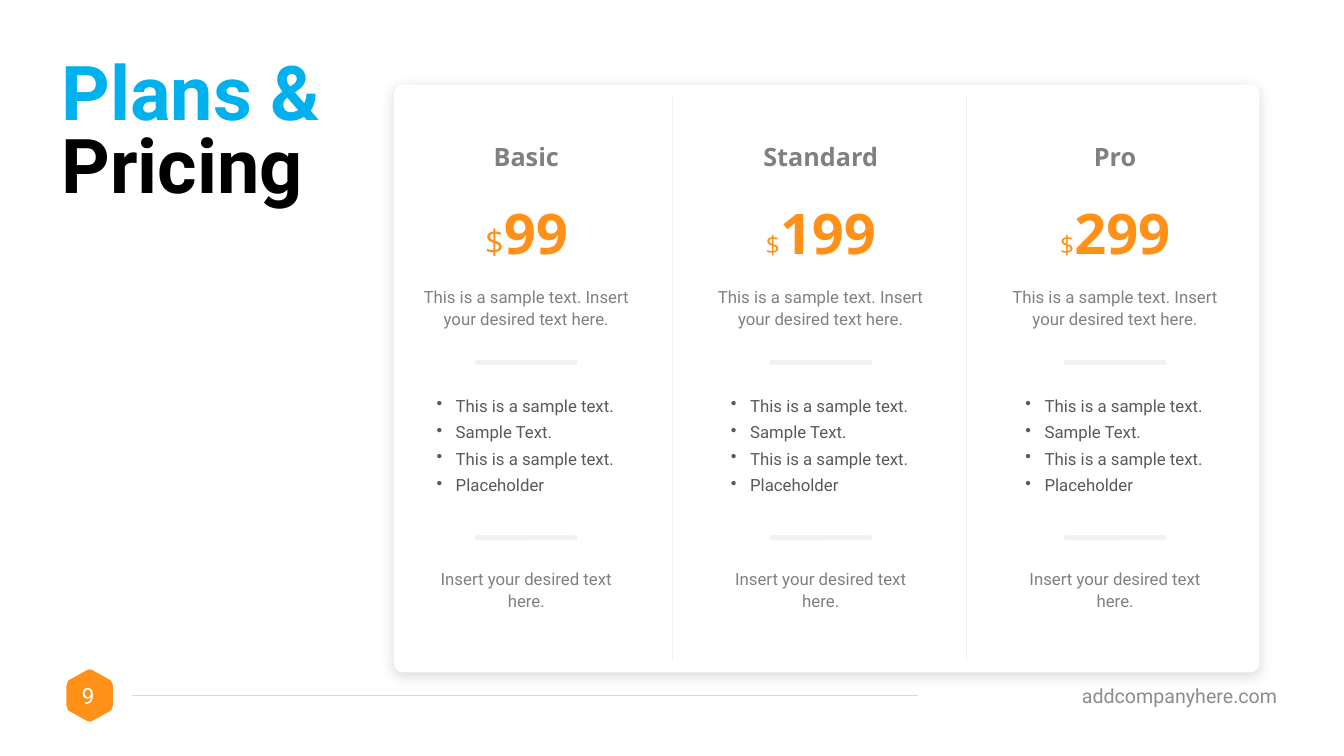
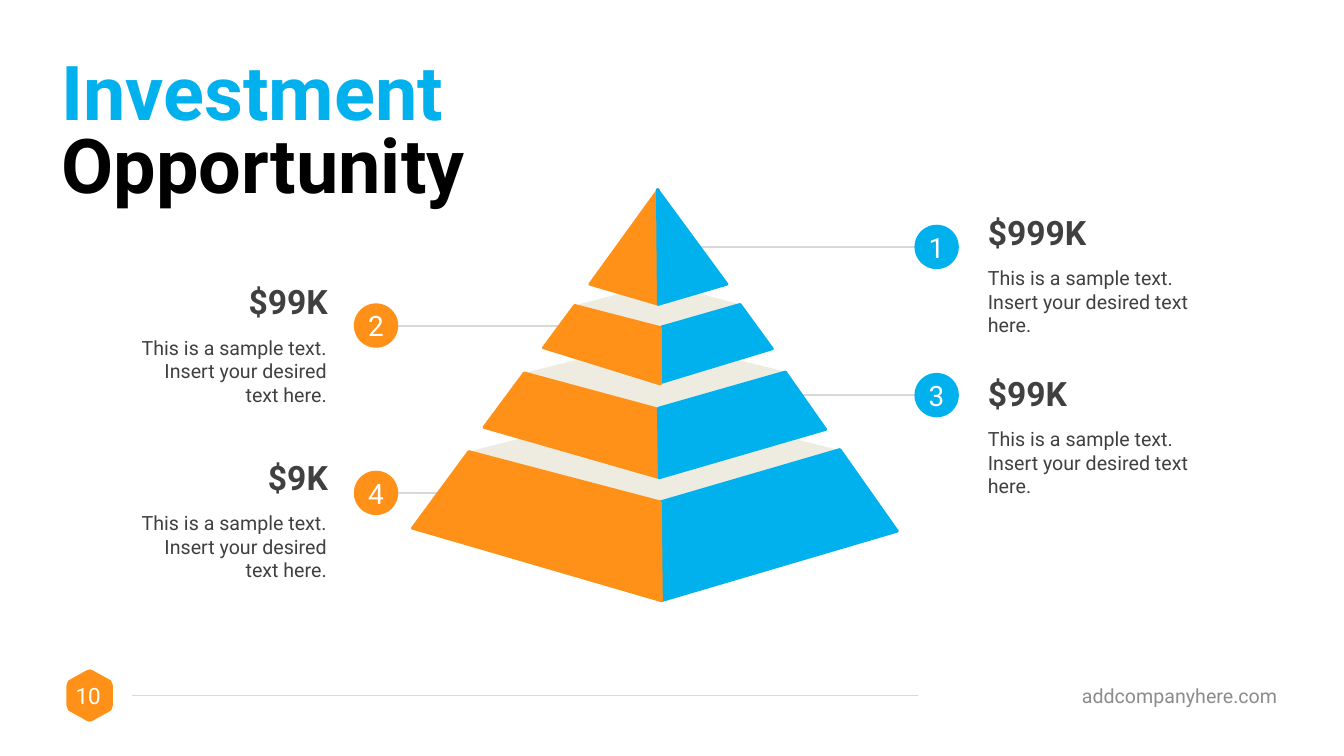
from lxml.etree import SubElement
from pptx import Presentation
from pptx.dml.color import RGBColor
from pptx.enum.shapes import MSO_CONNECTOR as Connector, MSO_SHAPE as Preset
from pptx.enum.text import MSO_ANCHOR as Anchor, MSO_AUTO_SIZE as AutoSize, PP_ALIGN as Align
from pptx.oxml.ns import qn
from pptx.util import Inches, Pt

COLORS = {
    "orange": "FF9119",
    "blue": "01B1ED",
    "black": "000000",
    "white": "FFFFFF",
    "cream": "EEECE1",
    "rule": "D9D9D9",
    "pale": "F2F2F2",
    "footer": "8C8C8C",
    "muted": "808080",
    "list": "595959",
    "dark": "404040",
}
BODY_FONT = "Roboto"
PLAN_FONT = "Open Sans"

PLANS = [("Basic", "99", 24), ("Standard", "199", 18), ("Pro", "299", 18)]
FEATURES = ["This is a sample text.", "Sample Text.", "This is a sample text.", "Placeholder"]
SAMPLE = "This is a sample text. Insert your desired text here."

TIERS = [
    [
        ("cream", [(4.65, 4.48), (6.51, 4.01), (8.34, 4.47), (6.55, 4.99)]),
        ("blue", [(6.55, 4.98), (8.33, 4.46), (8.9, 5.27), (6.56, 5.96)]),
        ("orange", [(4.09, 5.24), (4.65, 4.48), (6.55, 4.98), (6.56, 5.96)]),
    ],
    [
        ("cream", [(5.2, 3.7), (6.51, 3.37), (7.8, 3.69), (6.53, 4.06)]),
        ("orange", [(4.8, 4.24), (5.2, 3.7), (6.53, 4.06), (6.54, 4.74)]),
        ("blue", [(6.53, 4.05), (7.79, 3.69), (8.19, 4.26), (6.54, 4.74)]),
    ],
    [
        ("cream", [(5.7, 3.03), (6.55, 2.81), (7.34, 3.02), (6.55, 3.25)]),
        ("blue", [(6.54, 3.25), (7.34, 3.02), (7.66, 3.46), (6.54, 3.8)]),
        ("orange", [(5.39, 3.45), (5.7, 3.03), (6.55, 3.25), (6.55, 3.81)]),
    ],
    [
        ("orange", [(6.53, 1.88), (6.53, 3.02), (5.85, 2.82)]),
        ("blue", [(6.52, 1.88), (6.53, 3.02), (7.21, 2.82)]),
    ],
]
CALLOUTS = [
    ("1", "$999K", "right", 2.45, 6.95, 2.05),
    ("2", "$99K", "left", 3.23, 5.58, 2.74),
    ("3", "$99K", "right", 3.92, 7.8, 3.65),
    ("4", "$9K", "left", 4.89, 4.48, 4.48),
]


def rgb(name):
    return RGBColor.from_string(COLORS[name])


def format_run(run, size, color, bold=False, font=BODY_FONT):
    run.font.size = Pt(size)
    run.font.color.rgb = rgb(color)
    run.font.bold = bold
    run.font.name = font


def add_text(slide, box, text, size, color, bold=False, font=BODY_FONT, align=Align.LEFT,
             anchor=Anchor.TOP, insets=(0.1, 0.05), spacing=None):
    shape = slide.shapes.add_textbox(*map(Inches, box))
    frame = shape.text_frame
    frame.word_wrap = True
    frame.vertical_anchor = anchor
    frame.margin_left = frame.margin_right = Inches(insets[0])
    frame.margin_top = frame.margin_bottom = Inches(insets[1])
    frame.text = text
    for paragraph in frame.paragraphs:
        paragraph.alignment = align
        paragraph.line_spacing = spacing
        for run in paragraph.runs:
            format_run(run, size, color, bold, font)
    return frame


def fill_shape(shape, color, line_width=None):
    shape.shadow.inherit = False
    shape.fill.solid()
    shape.fill.fore_color.rgb = rgb(color)
    if line_width:
        shape.line.color.rgb = rgb(color)
        shape.line.width = Pt(line_width)
    else:
        shape.line.fill.background()


def add_preset(slide, preset, box, color, radius=None):
    shape = slide.shapes.add_shape(preset, *map(Inches, box))
    if radius is not None:
        shape.adjustments[0] = radius
    fill_shape(shape, color)
    return shape


def add_polygon(shapes, points, color, line_width=None):
    corners = [(Inches(x), Inches(y)) for x, y in points]
    builder = shapes.build_freeform(*corners[0])
    builder.add_line_segments(corners[1:], close=True)
    fill_shape(builder.convert_to_shape(), color, line_width)


def add_line(slide, start, end, color, width):
    line = slide.shapes.add_connector(Connector.STRAIGHT, *map(Inches, (*start, *end)))
    line.line.color.rgb = rgb(color)
    line.line.width = Pt(width)
    SubElement(line.element.spPr, qn("a:effectLst"))


def add_soft_shadow(shape):
    effects = shape.element.spPr.find(qn("a:effectLst"))
    shadow = SubElement(effects, qn("a:outerShdw"), blurRad=str(Pt(10)), dist=str(Pt(3)),
                        dir="5400000", algn="t", rotWithShape="0")
    color = SubElement(shadow, qn("a:srgbClr"), val=COLORS["black"])
    SubElement(color, qn("a:alpha"), val="15000")


def add_bullets(frame):
    for index, paragraph in enumerate(frame.paragraphs):
        properties = paragraph._p.get_or_add_pPr()
        properties.set("marL", str(Inches(0.19)))
        properties.set("indent", str(Inches(-0.19)))
        SubElement(properties, qn("a:buChar"), char="•")
        paragraph.space_before = Pt(6 if index else 0)


def add_title(slide, first_line, second_line):
    title = slide.shapes.title
    title.left, title.top, title.width, title.height = map(Inches, (0.61, 0.62, 5.71, 1.53))
    frame = title.text_frame
    frame.auto_size = AutoSize.NONE
    frame.word_wrap = True
    frame.vertical_anchor = Anchor.TOP
    frame.margin_left = frame.margin_right = frame.margin_top = frame.margin_bottom = 0
    frame.text = f"{first_line}\v{second_line}"
    paragraph = frame.paragraphs[0]
    paragraph.alignment = Align.LEFT
    paragraph.line_spacing = 0.8
    for run, color in zip(paragraph.runs, ("blue", "black")):
        format_run(run, 54, color, bold=True)


def add_footer(slide, number):
    quarter = [(0, 0.26), (0.03, 0.25), (0.21, 0.15), (0.22, 0.13), (0.23, 0.1)]
    right = quarter + [(x, -y) for x, y in reversed(quarter)]
    outline = right + [(-x, y) for x, y in reversed(right[1:-1])]
    add_polygon(slide.shapes, [(0.89 + x, 6.9 + y) for x, y in outline], "orange")
    add_line(slide, (1.31, 6.9), (9.1, 6.9), "rule", 0.75)
    add_text(slide, (9.2, 6.7, 3.47, 0.4), "addcompanyhere.com", 14, "footer",
             align=Align.RIGHT, anchor=Anchor.MIDDLE, insets=(0, 0.07))
    add_text(slide, (0.67, 6.7, 0.41, 0.4), str(number), 16, "white",
             align=Align.CENTER, anchor=Anchor.MIDDLE, insets=(0, 0.07))


def add_slide(presentation, number, first_line, second_line):
    slide = presentation.slides.add_slide(presentation.slide_layouts[5])
    add_title(slide, first_line, second_line)
    add_footer(slide, number)
    return slide


def add_plan(slide, center, name, price, dollar_size):
    def centered(top, width, height):
        return center - width / 2, top, width, height

    add_text(slide, centered(1.35, 2.9, 0.4), name, 18, "muted", True, PLAN_FONT, Align.CENTER)
    frame = add_text(slide, centered(1.92, 2.9, 0.77), "$", dollar_size, "orange",
                     font=PLAN_FONT, align=Align.CENTER)
    amount = frame.paragraphs[0].add_run()
    amount.text = price
    format_run(amount, 40, "orange", True, PLAN_FONT)
    for top, width, text in ((2.78, 2.16, SAMPLE), (5.58, 1.7, "Insert your desired text here.")):
        add_text(slide, centered(top, width, 0.53), text, 12, "muted", align=Align.CENTER,
                 anchor=Anchor.MIDDLE, insets=(0, 0.05), spacing=1.1)
    for top in (3.57, 5.31):
        add_preset(slide, Preset.ROUNDED_RECTANGLE, centered(top, 1.02, 0.05), "pale", 0.5)
    features = add_text(slide, (center - 0.89, 3.89, 2.02, 1.08), "\n".join(FEATURES), 12, "list",
                        anchor=Anchor.MIDDLE, insets=(0, 0.05), spacing=0.9)
    add_bullets(features)


def add_callout(slide, number, amount, side, middle, line_end, text_top):
    on_right = side == "right"
    center = 9.29 if on_right else 3.73
    align = Align.LEFT if on_right else Align.RIGHT
    add_line(slide, (center, middle), (line_end, middle), "rule", 1.5)
    badge = add_preset(slide, Preset.OVAL, (center - 0.22, middle - 0.22, 0.44, 0.44),
                       "blue" if on_right else "orange")
    frame = badge.text_frame
    frame.margin_left = frame.margin_right = frame.margin_top = frame.margin_bottom = 0
    frame.vertical_anchor = Anchor.MIDDLE
    frame.text = number
    frame.paragraphs[0].alignment = Align.CENTER
    format_run(frame.paragraphs[0].runs[0], 20, "white")
    add_text(slide, (9.7 if on_right else 0.63, text_top, 2.72, 0.5), amount, 24, "dark", True,
             align=align)
    body_left, body_width = (9.7, 2.39) if on_right else (1.16, 2.18)
    add_text(slide, (body_left, text_top + 0.54, body_width, 0.81), SAMPLE, 14, "dark",
             align=align)


def add_pyramid(slide):
    group = slide.shapes.add_group_shape()
    for tier in TIERS:
        for color, points in tier:
            add_polygon(group.shapes, points, color, None if color == "cream" else 2)


def build_pricing(presentation):
    slide = add_slide(presentation, 9, "Plans &", "Pricing")
    card = add_preset(slide, Preset.ROUNDED_RECTANGLE, (3.91, 0.84, 8.58, 5.83), "white", 0.014)
    add_soft_shadow(card)
    for index, plan in enumerate(PLANS):
        center = 5.22 + 2.92 * index
        if index:
            divider = center - 1.47
            add_line(slide, (divider, 0.95), (divider, 6.55), "pale", 0.75)
        add_plan(slide, center, *plan)


def build_investment(presentation):
    slide = add_slide(presentation, 10, "Investment", "Opportunity")
    for callout in CALLOUTS:
        add_callout(slide, *callout)
    add_pyramid(slide)


def main():
    presentation = Presentation()
    presentation.slide_width = Inches(13.33)
    presentation.slide_height = Inches(7.5)
    build_pricing(presentation)
    build_investment(presentation)
    presentation.save("out.pptx")


if __name__ == "__main__":
    main()
